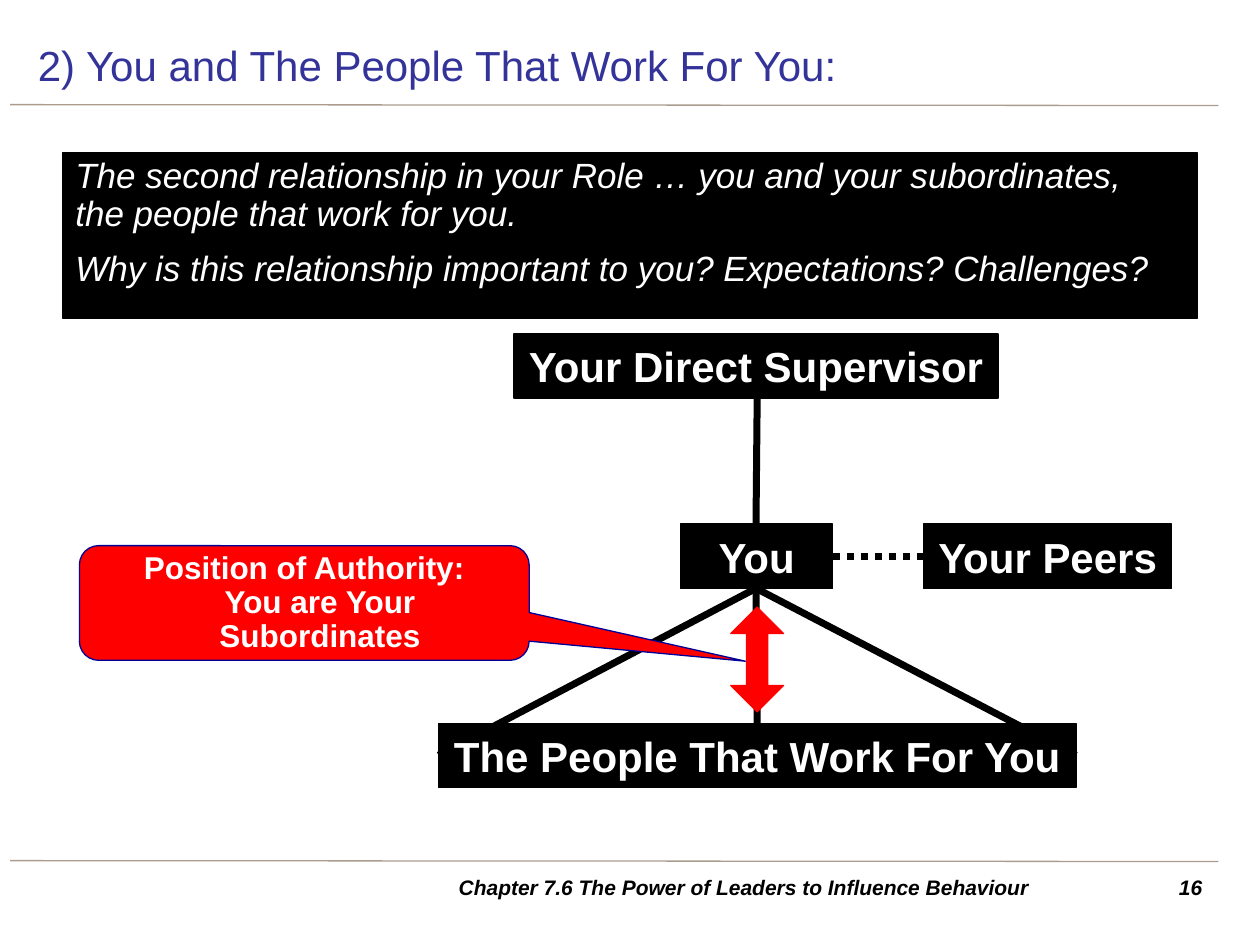
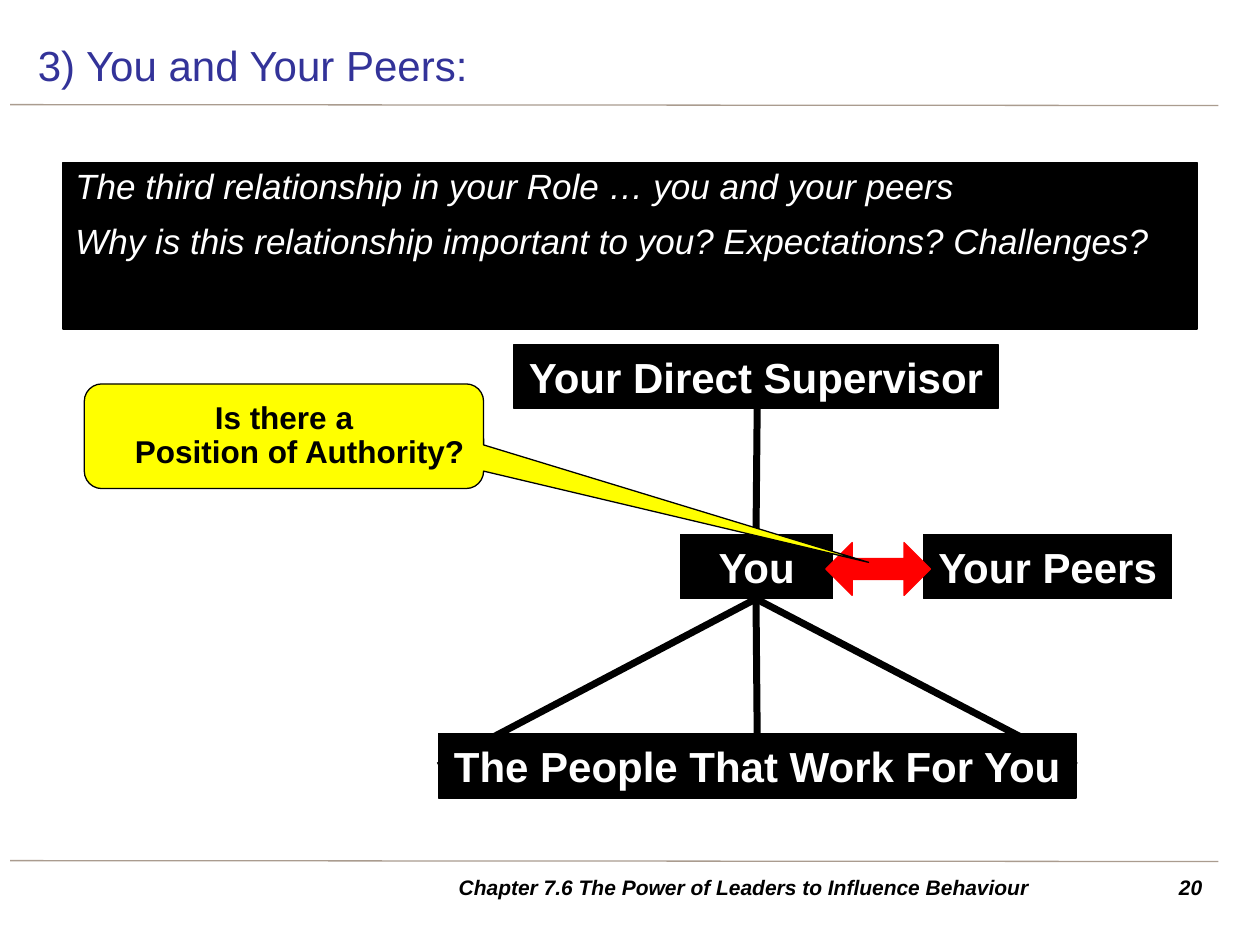
from lxml.etree import SubElement
from pptx import Presentation
from pptx.dml.color import RGBColor
from pptx.enum.dml import MSO_LINE
from pptx.enum.shapes import MSO_CONNECTOR, MSO_SHAPE
from pptx.enum.text import MSO_ANCHOR, PP_ALIGN
from pptx.oxml.ns import qn
from pptx.util import Pt

BLACK, WHITE, RED, YELLOW = "000000", "FFFFFF", "FF0000", "FFFF00"
NAVY, BLUE, TAUPE = "333399", "000099", "AA9C8F"
LEFT, CENTER, RIGHT = PP_ALIGN.LEFT, PP_ALIGN.CENTER, PP_ALIGN.RIGHT
FOOTER = "Chapter 7.6 The Power of Leaders to Influence Behaviour"
QUESTION = "Why is this relationship important to you? Expectations? Challenges?"
BOX_H = 36.7

slides = [
    dict(title="2) You and The People That Work For You:", number="16", dy=0,
         intro="The second relationship in your Role … you and your subordinates,\n"
               "the people that work for you.",
         arrow=(417.6, 347, 30.2, 59.8), turn=0,
         callout="Position of Authority:\nYou are Your Subordinates",
         place=(45.4, 311.8, 257, 65.5), tail=(0.981, 0.508, 0.167),
         colours=(RED, BLUE, WHITE)),
    dict(title="3) You and Your Peers:", number="20", dy=6,
         intro="The third relationship in your Role … you and your peers",
         arrow=(486.7, 295.2, 30.2, 59.8), turn=270,
         callout="Is there a\nPosition of Authority?",
         place=(48.2, 219.4, 228.2, 59.8), tail=(1.464, 1.205, 0.167),
         colours=(YELLOW, BLACK, BLACK)),
]
boxes = [
    ("Your Direct Supervisor", 293.8, 190.8, 276.5),
    ("You", 388.8, 299.5, 87.1),
    ("Your Peers", 527.8, 299.5, 141.8),
    ("The People That Work For You", 250.6, 413.3, 364.3),
]
links = [
    (432.7, 227.5, 432, 299.5),
    (432, 336.2, 432.7, 413.3),
    (432, 336.2, 250.6, 431.6),
    (432, 336.2, 614.9, 431.6),
    (527.8, 317.8, 475.9, 317.8),
]


def rgb(value):
    return RGBColor.from_string(value)


def write(sp, lines, size, colour, align, bold=False, italic=False,
          anchor=MSO_ANCHOR.MIDDLE):
    tf = sp.text_frame
    tf.word_wrap = True
    tf.vertical_anchor = anchor
    for i, line in enumerate(lines):
        p = tf.add_paragraph() if i else tf.paragraphs[0]
        p.text = line
        p.alignment = align
        p.font.name = "Arial"
        p.font.size = Pt(size)
        p.font.bold = bold
        p.font.italic = italic
        p.font.color.rgb = rgb(colour)
    return tf


prs = Presentation()
prs.slide_width, prs.slide_height = Pt(720), Pt(540)

for item in slides:
    s = prs.slides.add_slide(prs.slide_layouts[5])
    dy = item["dy"]

    title = s.shapes.title
    title.left, title.top, title.width, title.height = map(Pt, (14.4, 17.3, 680.4, 39.6))
    write(title, [item["title"]], 24, NAVY, LEFT)

    sp = s.shapes.add_textbox(Pt(652.3), Pt(496), Pt(41.8), Pt(22.3))
    write(sp, [item["number"]], 12, BLACK, RIGHT, True, True, MSO_ANCHOR.TOP)
    sp = s.shapes.add_textbox(Pt(212.4), Pt(496), Pt(425.5), Pt(22.3))
    write(sp, [FOOTER], 12, BLACK, CENTER, True, True)

    rules = [(5.8, y, 696.2, y + 0.5, TAUPE, 0.75) for y in (59.8, 491.8)]
    tree = [(x1, y1 + dy, x2, y2 + dy, BLACK, 4) for x1, y1, x2, y2 in links]
    for x1, y1, x2, y2, colour, weight in rules + tree:
        line = s.shapes.add_connector(MSO_CONNECTOR.STRAIGHT, Pt(x1), Pt(y1), Pt(x2), Pt(y2))
        line.line.color.rgb = rgb(colour)
        line.line.width = Pt(weight)
        if weight == 4 and y1 == y2:
            line.line.dash_style = MSO_LINE.ROUND_DOT
        SubElement(line._element.spPr, qn("a:effectLst"))

    shapes = [(MSO_SHAPE.RECTANGLE, (x, y + dy, w, BOX_H), BLACK, BLACK)
              for _, x, y, w in boxes]
    shapes += [
        (MSO_SHAPE.UP_DOWN_ARROW, item["arrow"], RED, RED),
        (MSO_SHAPE.RECTANGLE, (36, 87 + dy, 648, 95), BLACK, BLACK),
        (MSO_SHAPE.ROUNDED_RECTANGULAR_CALLOUT, item["place"], *item["colours"][:2]),
    ]
    drawn = []
    for kind, place, fill, outline in shapes:
        sp = s.shapes.add_shape(kind, *map(Pt, place))
        sp.shadow.inherit = False
        sp.fill.solid()
        sp.fill.fore_color.rgb = rgb(fill)
        sp.line.color.rgb = rgb(outline)
        sp.line.width = Pt(0.75)
        drawn.append(sp)
    *nodes, arrow, panel, callout = drawn

    for sp, box in zip(nodes, boxes):
        write(sp, [box[0]], 24, WHITE, CENTER, True).word_wrap = False

    arrow.adjustments[0], arrow.adjustments[1] = 0.5, 0.4
    arrow.rotation = item["turn"]

    tf = write(panel, [item["intro"], QUESTION], 20, WHITE, LEFT,
               italic=True, anchor=MSO_ANCHOR.TOP)
    for p in tf.paragraphs:
        p.line_spacing = 0.9
    tf.paragraphs[1].space_before = Pt(10)

    for i, value in enumerate(item["tail"]):
        callout.adjustments[i] = value
    p = write(callout, [item["callout"]], 18, item["colours"][2], CENTER, True).paragraphs[0]
    p.line_spacing = 0.9
    pPr = p._p.get_or_add_pPr()
    pPr.set("marL", str(Pt(18)))
    pPr.set("indent", str(-Pt(18)))

prs.save("out.pptx")
